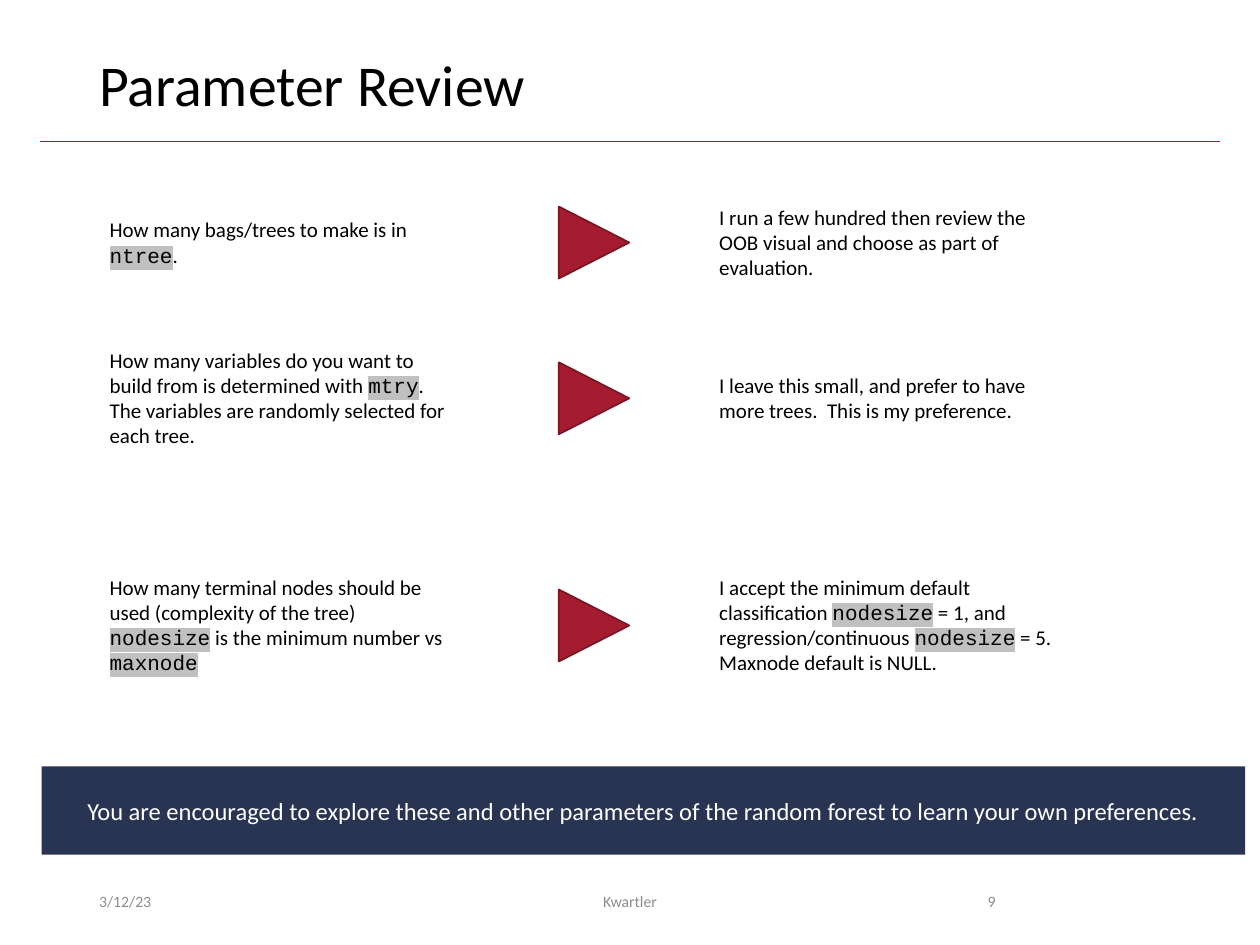
from lxml import etree
from pptx import Presentation
from pptx.dml.color import RGBColor
from pptx.enum.shapes import MSO_CONNECTOR, MSO_SHAPE
from pptx.enum.text import MSO_ANCHOR, PP_ALIGN
from pptx.oxml.ns import qn
from pptx.util import Cm, Pt

COLORS = {"black": "000000", "white": "FFFFFF", "grey": "8C8C8C", "code": "C0C0C0",
          "navy": "293352", "crimson": "A51C30", "edge": "7A1524"}

# Content: text between backticks is code
TITLE = "Parameter Review"
BANNER = ("You are encouraged to explore these and other parameters of the "
          "random forest to learn your own preferences.")
# Row centre (cm), question (paragraphs, lines), answer (paragraphs, lines)
ROWS = [
    (4.89,
     (["How many bags/trees to make is in `ntree`."], 2),
     (["I run a few hundred then review the OOB visual and choose as part of evaluation."], 3)),
    (8.03,
     (["How many variables do you want to build from is determined with `mtry`.  "
       "The variables are randomly selected for each tree."], 4),
     (["I leave this small, and prefer to have more trees.  This is my preference."], 2)),
    (12.61,
     (["How many terminal nodes should be used (complexity of the tree)",
       "`nodesize` is the minimum number vs `maxnode`"], 4),
     (["I accept the minimum default classification `nodesize` = 1, and "
       "regression/continuous `nodesize` = 5.",
       "Maxnode default is NULL."], 4)),
]
# Text, left, width (cm), alignment
FOOTER = [("3/12/23", 1.75, 5.72, PP_ALIGN.LEFT),
          ("Kwartler", 8.41, 8.58, PP_ALIGN.CENTER),
          ("9", 17.93, 2.39, PP_ALIGN.RIGHT)]

# Layout in cm
QUESTION_X, ANSWER_X, TEXT_W = 1.96, 14.25, 7.39
LINE_H, INSETS = 0.515, 0.25
ARROW_X, ARROW_W, ARROW_H = 11.25, 1.45, 1.42


def rgb(name):
    return RGBColor.from_string(COLORS[name])


def add_highlight(r):
    highlight = etree.Element(qn("a:highlight"))
    etree.SubElement(highlight, qn("a:srgbClr"), val=COLORS["code"])
    r.font._element.find(qn("a:solidFill")).addnext(highlight)


def write(tf, paragraphs, size, color="black", align=PP_ALIGN.LEFT, anchor=MSO_ANCHOR.TOP):
    tf.word_wrap = True
    tf.vertical_anchor = anchor
    for i, text in enumerate(paragraphs):
        p = tf.paragraphs[0] if i == 0 else tf.add_paragraph()
        p.alignment = align
        for j, part in enumerate(text.split("`")):
            if not part:
                continue
            is_code = j % 2 == 1
            r = p.add_run()
            r.text = part
            r.font.size = Pt(size)
            r.font.color.rgb = rgb(color)
            r.font.name = "Courier New" if is_code else "Calibri"
            if is_code:
                add_highlight(r)


def add_text(s, x, y, w, h, paragraphs, size, **style):
    tf = s.shapes.add_textbox(Cm(x), Cm(y), Cm(w), Cm(h)).text_frame
    write(tf, paragraphs, size, **style)
    return tf


def add_filled(s, kind, x, y, w, h, fill):
    sp = s.shapes.add_shape(kind, Cm(x), Cm(y), Cm(w), Cm(h))
    sp.shadow.inherit = False
    sp.fill.solid()
    sp.fill.fore_color.rgb = rgb(fill)
    return sp


def main():
    prs = Presentation()
    prs.slide_width, prs.slide_height = Cm(25.4), Cm(19.05)
    s = prs.slides.add_slide(prs.slide_layouts[6])

    # Title and rule
    rule = s.shapes.add_connector(MSO_CONNECTOR.STRAIGHT, Cm(0.81), Cm(2.85), Cm(24.59), Cm(2.85))
    rule.line.color.rgb = rgb("crimson")
    rule.line.width = Pt(0.5)
    etree.SubElement(rule._element.spPr, qn("a:effectLst"))
    tf = add_text(s, 1.75, 1.02, 21.9, 1.65, [TITLE], 33)
    tf.paragraphs[0].line_spacing = 0.9

    # Question, arrow and answer, centred on each row
    for cy, question, answer in ROWS:
        for x, (paragraphs, lines) in ((QUESTION_X, question), (ANSWER_X, answer)):
            h = INSETS + lines * LINE_H
            add_text(s, x, cy - h / 2, TEXT_W, h, paragraphs, 12)
        arrow = add_filled(s, MSO_SHAPE.ISOSCELES_TRIANGLE, ARROW_X, cy - ARROW_H / 2,
                           ARROW_W, ARROW_H, "crimson")
        arrow.rotation = 90
        arrow.line.color.rgb = rgb("edge")
        arrow.line.width = Pt(1)

    # Banner
    banner = add_filled(s, MSO_SHAPE.RECTANGLE, 0.84, 15.45, 24.26, 1.78, "navy")
    banner.line.fill.background()
    write(banner.text_frame, [BANNER], 14, "white", PP_ALIGN.CENTER, MSO_ANCHOR.MIDDLE)

    # Footer
    for text, x, w, align in FOOTER:
        add_text(s, x, 17.65, w, 1.02, [text], 9, color="grey", align=align,
                 anchor=MSO_ANCHOR.MIDDLE)

    prs.save("out.pptx")


if __name__ == "__main__":
    main()
